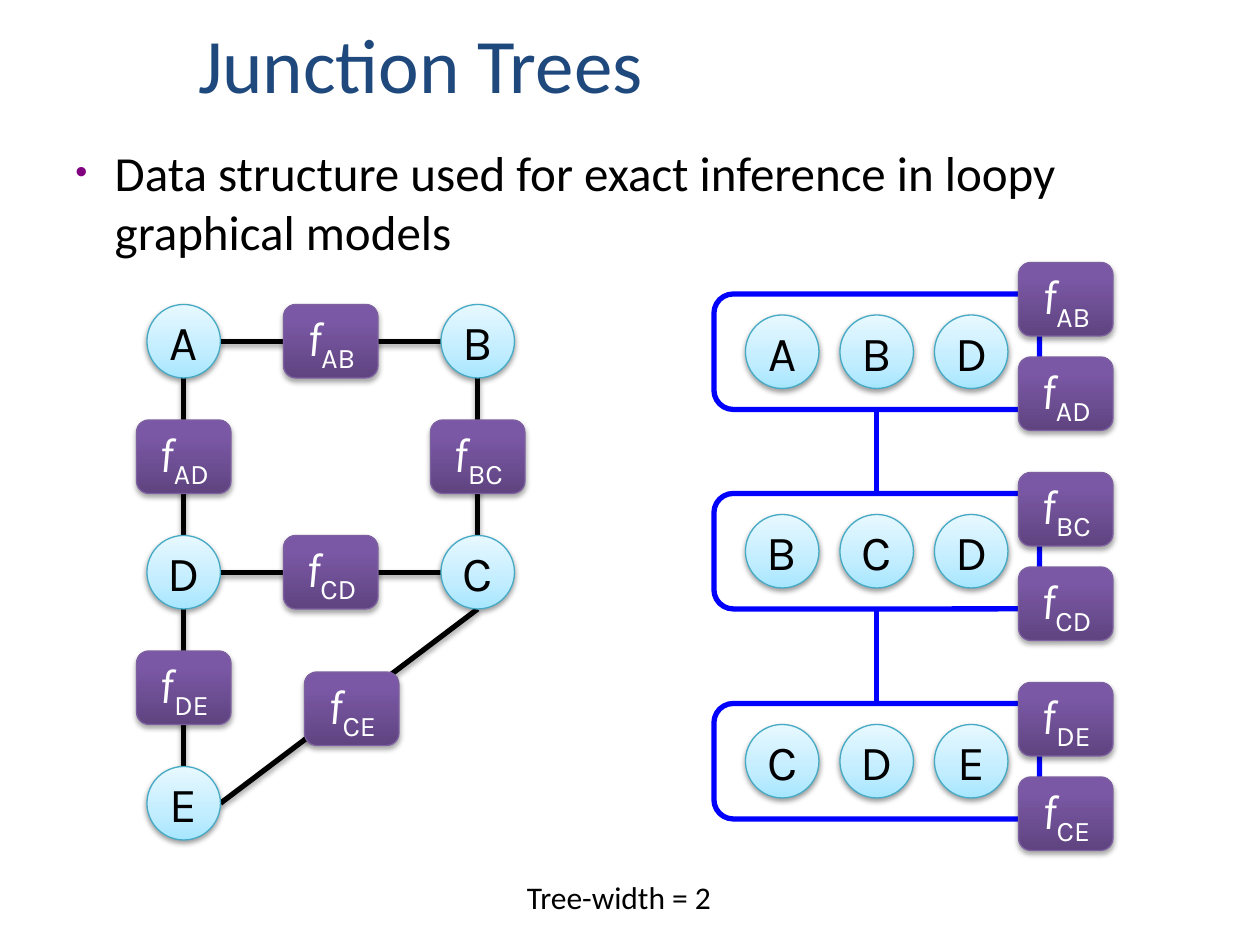
from lxml import etree
from pptx import Presentation
from pptx import util as u
from pptx.dml.color import RGBColor
from pptx.enum import shapes, text
from pptx.oxml import parse_xml
from pptx.oxml.ns import nsdecls, qn

Pt = u.Pt
BLACK = RGBColor(0x00, 0x00, 0x00)
WHITE = RGBColor(0xFF, 0xFF, 0xFF)
TITLE_BLUE = RGBColor(0x1F, 0x49, 0x7D)
CLIQUE_BLUE = RGBColor(0x00, 0x00, 0xFF)
BULLET_PURPLE = RGBColor(0x80, 0x00, 0x80)
NODE_LINE = RGBColor(0x46, 0xAA, 0xC5)
FACTOR_LINE = RGBColor(0x7D, 0x60, 0xA0)

# Gradient stops run from the bottom of the shape to the top
NODE_STOPS = [(0, RGBColor(0xA7, 0xE6, 0xFF)), (35, RGBColor(0xC1, 0xED, 0xFF)),
              (100, RGBColor(0xE7, 0xF8, 0xFF))]
FACTOR_STOPS = [(0, RGBColor(0x5F, 0x44, 0x80)), (80, RGBColor(0x7B, 0x58, 0xA6)),
                (100, RGBColor(0x7C, 0x57, 0xA8))]

NODE = 42                       # node diameter and factor height
FACTOR_WIDTH = 54
CLIQUE_LEFT, CLIQUE_WIDTH, CLIQUE_HEIGHT = 408, 186, 66

# Centres in the loopy graph
NODES = {"A": (105, 195), "B": (273, 195), "C": (273, 327),
         "D": (105, 327), "E": (105, 459)}
FACTORS = {"AB": (189, 195), "AD": (105, 261), "BC": (273, 261),
           "CD": (189, 327), "DE": (105, 393), "CE": (201, 405)}

# Members, factors, top of box, top of first factor
CLIQUES = [("ABD", ("AB", "AD"), 168, 150),
           ("BCD", ("BC", "CD"), 282, 270),
           ("CDE", ("DE", "CE"), 402, 390)]


def set_shadow(element, opacity=None, distance=1.8):
    """Replace the theme shadow by none, or by a soft one below."""
    properties = element.spPr
    for old in properties.findall(qn("a:effectLst")):
        properties.remove(old)
    effects = etree.SubElement(properties, qn("a:effectLst"))
    if opacity:
        effects.append(parse_xml(
            f'<a:outerShdw {nsdecls("a")} blurRad="{Pt(3.1)}" dist="{Pt(distance)}" '
            f'dir="5400000" rotWithShape="0"><a:srgbClr val="{BLACK}">'
            f'<a:alpha val="{opacity * 1000}"/></a:srgbClr></a:outerShdw>'))


def set_gradient(shape, stops):
    shape.fill.gradient()
    shape.fill.gradient_angle = 90
    stop_list = shape._element.spPr.find(qn("a:gradFill")).find(qn("a:gsLst"))
    for old in list(stop_list):
        stop_list.remove(old)
    for position, color in stops:
        stop_list.append(parse_xml(
            f'<a:gs {nsdecls("a")} pos="{position * 1000}"><a:srgbClr val="{color}"/></a:gs>'))


def format_run(run, size, font, color):
    run.font.size, run.font.name = Pt(size), font
    run.font.color.rgb = color


def add_line(slide, start, end, color, shadow=None):
    line = slide.shapes.add_connector(
        shapes.MSO_CONNECTOR.STRAIGHT, *(Pt(v) for v in (*start, *end)))
    line.line.color.rgb, line.line.width = color, Pt(3)
    set_shadow(line._element, shadow)


def add_badge(slide, kind, center, width, stops, outline, shadow):
    """Add a glossy shape around its centre; return its paragraph."""
    x, y = center
    badge = slide.shapes.add_shape(
        kind, Pt(x - width / 2), Pt(y - NODE / 2), Pt(width), Pt(NODE))
    set_gradient(badge, stops)
    badge.line.color.rgb, badge.line.width = outline, Pt(0.75)
    set_shadow(badge._element, *shadow)
    frame = badge.text_frame
    frame.word_wrap = False
    frame.vertical_anchor = text.MSO_ANCHOR.MIDDLE
    label = frame.paragraphs[0]
    label.alignment = text.PP_ALIGN.CENTER
    return label


def add_node(slide, name, center):
    label = add_badge(slide, shapes.MSO_SHAPE.OVAL, center, NODE,
                      NODE_STOPS, NODE_LINE, (38, 1.6))
    label.text = name
    format_run(label.runs[0], 28, "Karla", BLACK)


def add_factor(slide, scope, center):
    label = add_badge(slide, shapes.MSO_SHAPE.ROUNDED_RECTANGLE, center, FACTOR_WIDTH,
                      FACTOR_STOPS, FACTOR_LINE, (35, 1.8))
    for part in ("f", scope):
        run = label.add_run()
        run.text = part
        format_run(run, 28, "Karla", WHITE)
        run.font.italic = part == "f"
    run.font._element.set("baseline", "-25000")


def add_clique(slide, members, factors, top, factor_top):
    box = slide.shapes.add_shape(
        shapes.MSO_SHAPE.ROUNDED_RECTANGLE, Pt(CLIQUE_LEFT), Pt(top),
        Pt(CLIQUE_WIDTH), Pt(CLIQUE_HEIGHT))
    box.fill.background()
    box.line.color.rgb, box.line.width = CLIQUE_BLUE, Pt(3)
    box.shadow.inherit = False
    for i, name in enumerate(members):
        add_node(slide, name, (CLIQUE_LEFT + 39 + 54 * i, top + CLIQUE_HEIGHT / 2))
    for i, scope in enumerate(factors):
        add_factor(slide, scope, (609, factor_top + NODE / 2 + 54 * i))


def add_title(slide, wording):
    title = slide.shapes.title
    title.left, title.top, title.width, title.height = Pt(106), Pt(6), Pt(590), Pt(60)
    frame = title.text_frame
    frame.text = wording
    frame.auto_size = text.MSO_AUTO_SIZE.NONE
    frame.vertical_anchor = text.MSO_ANCHOR.BOTTOM
    frame.paragraphs[0].alignment = text.PP_ALIGN.LEFT
    format_run(frame.paragraphs[0].runs[0], 44, "Calibri", TITLE_BLUE)


def add_text(slide, wording, left, top, width, height, size, wrap):
    frame = slide.shapes.add_textbox(Pt(left), Pt(top), Pt(width), Pt(height)).text_frame
    frame.word_wrap = wrap
    frame.text = wording
    format_run(frame.paragraphs[0].runs[0], size, "Calibri", BLACK)
    return frame.paragraphs[0]


def add_bullet(paragraph):
    properties = paragraph._element.get_or_add_pPr()
    properties.set("marL", str(Pt(22.5)))
    properties.set("indent", str(Pt(-22.5)))
    paragraph.space_before = Pt(5.6)
    for xml in (f'<a:buClr {nsdecls("a")}><a:srgbClr val="{BULLET_PURPLE}"/></a:buClr>',
                f'<a:buSzPct {nsdecls("a")} val="70000"/>',
                f'<a:buFont {nsdecls("a")} typeface="Arial"/>',
                f'<a:buChar {nsdecls("a")} char="•"/>'):
        properties.append(parse_xml(xml))


def add_loopy_graph(slide):
    radius = NODE / 2
    # Edges go behind the nodes and factors
    for first, second in ("AB", "DC"):
        (x1, y), (x2, _) = NODES[first], NODES[second]
        add_line(slide, (x1 + radius, y), (x2 - radius, y), BLACK, 35)
    for upper, lower in ("AD", "BC", "DE"):
        (x, y1), (_, y2) = NODES[upper], NODES[lower]
        add_line(slide, (x, y2 - radius), (x, y1 + radius), BLACK, 35)
    (ex, ey), (cx, cy) = NODES["E"], NODES["C"]
    add_line(slide, (ex + radius, ey), (cx, cy + radius), BLACK, 35)
    for name, center in NODES.items():
        add_node(slide, name, center)
    for scope, center in FACTORS.items():
        add_factor(slide, scope, center)


def add_junction_tree(slide):
    for clique in CLIQUES:
        add_clique(slide, *clique)
    middle = CLIQUE_LEFT + CLIQUE_WIDTH / 2
    for upper, lower in zip(CLIQUES, CLIQUES[1:]):
        add_line(slide, (middle, upper[2] + CLIQUE_HEIGHT), (middle, lower[2]), CLIQUE_BLUE)


def main():
    deck = Presentation()
    deck.slide_width, deck.slide_height = Pt(720), Pt(540)
    slide = deck.slides.add_slide(deck.slide_layouts[5])
    add_title(slide, "Junction Trees")
    add_bullet(add_text(
        slide, "Data structure used for exact inference in loopy graphical models",
        36, 78, 654, 78, 28, True))
    add_loopy_graph(slide)
    add_junction_tree(slide)
    add_text(slide, "Tree-width = 2", 294, 498, 121, 29, 18, False)
    deck.save("out.pptx")


if __name__ == "__main__":
    main()
